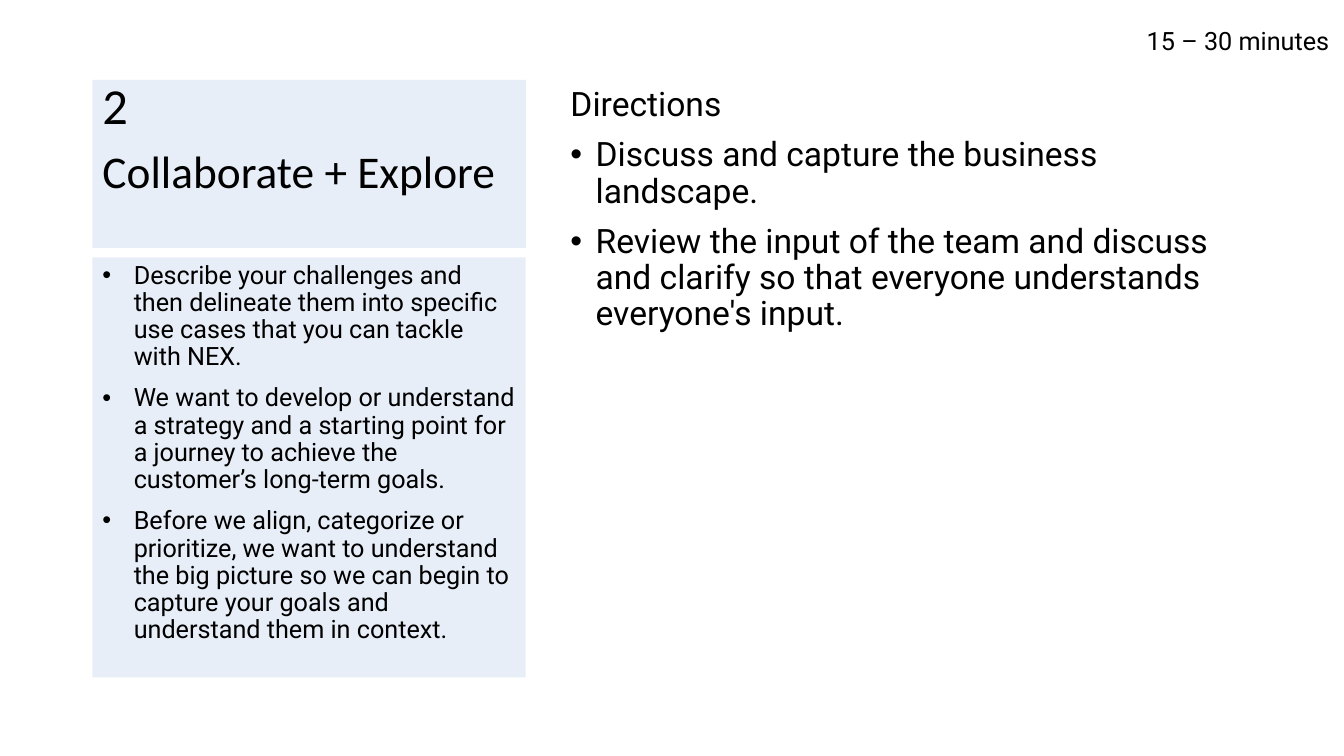
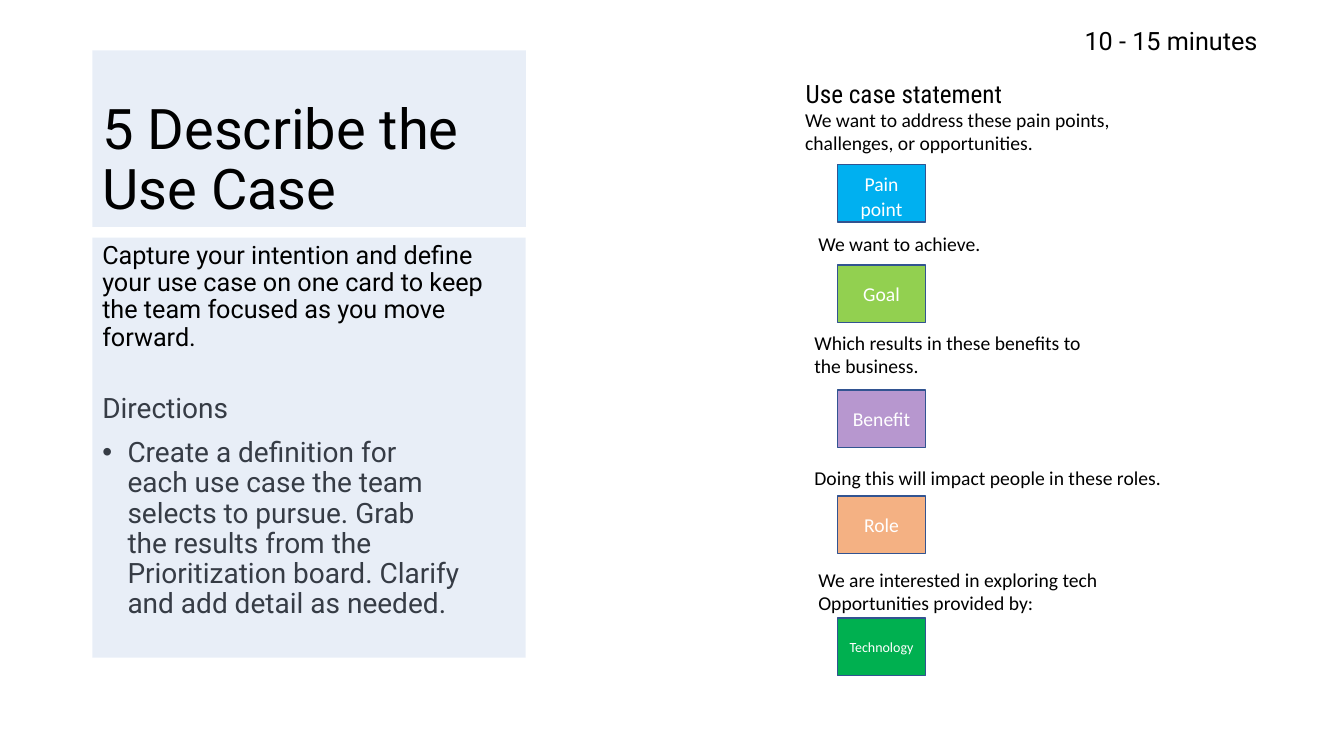
"""Build two workshop slides: exploring together and describing a use case."""
import pptx
import pptx.util
import pptx.dml.color
import pptx.enum.shapes
import pptx.enum.text
import pptx.oxml.ns

Pt = pptx.util.Pt
ALIGN = pptx.enum.text.PP_ALIGN
ANCHOR = pptx.enum.text.MSO_ANCHOR

COLORS = {
    "text": "000000",
    "panel": "B4C7E7",
    "tile_line": "325491",
    "tile_text": "FFFFFF",
    "pain": "00B0F0",
    "goal": "92D050",
    "benefit": "7030A0",
    "role": "F4B183",
    "technology": "00B050",
}
PANEL_LEFT, PANEL_WIDTH, PANEL_HEIGHT = 66, 309.6, 300
TILE_LEFT, TILE_WIDTH, TILE_HEIGHT = 598.4, 62.6, 41.2
BODY = {"line_spacing": 0.9, "space_before": Pt(10)}


def set_attributes(target, values):
    """Set every named value on the target."""
    for name, value in values.items():
        setattr(target, name, value)


def rgb(color):
    """Look up a colour by its name."""
    return pptx.dml.color.RGBColor.from_string(COLORS[color])


class Deck:
    """Holds the style and the current slide, and draws each kind of element."""

    def __init__(self):
        """Start a widescreen presentation."""
        self.presentation = pptx.Presentation()
        set_attributes(self.presentation, {"slide_width": Pt(960), "slide_height": Pt(540)})
        self.slide = None

    def add_slide(self):
        """Start a title-only slide."""
        self.slide = self.presentation.slides.add_slide(self.presentation.slide_layouts[5])

    def fill(self, shape, color, opacity=None):
        """Give the shape a solid fill, see-through if an opacity percent is given."""
        shape.fill.solid()
        shape.fill.fore_color.rgb = rgb(color)
        if opacity is not None:
            color_node = shape._element.spPr.find(".//" + pptx.oxml.ns.qn("a:srgbClr"))
            color_node.append(color_node.makeelement(
                pptx.oxml.ns.qn("a:alpha"), {"val": str(opacity * 1000)}))

    def bullet(self, paragraph, indent):
        """Hang a round bullet in the given indent."""
        properties = paragraph._p.get_or_add_pPr()
        properties.set("marL", str(int(Pt(indent))))
        properties.set("indent", str(-int(Pt(indent))))
        for tag, attribute, value in (("a:buFont", "typeface", "Arial"), ("a:buChar", "char", "•")):
            properties.append(properties.makeelement(pptx.oxml.ns.qn(tag), {attribute: value}))

    def set_text(self, shape, paragraphs, size, font="Roboto", color="text", indents=None,
                 frame=None, **values):
        """Set paragraphs, each a string or a list of (text, size) runs."""
        text_frame = shape.text_frame
        set_attributes(text_frame, {"word_wrap": True, **(frame or {})})
        for index, content in enumerate(paragraphs):
            paragraph = text_frame.add_paragraph() if index else text_frame.paragraphs[0]
            set_attributes(paragraph, {"alignment": ALIGN.LEFT, **values})
            if indents and indents[index]:
                self.bullet(paragraph, indents[index])
            runs = [(content, size)] if isinstance(content, str) else content
            for text, run_size in runs:
                run = paragraph.add_run()
                run.text = text
                set_attributes(run.font, {"name": font, "size": Pt(run_size)})
                run.font.color.rgb = rgb(color)

    def title(self, top, height, paragraphs, size, **style):
        """Place the title on its pale panel."""
        shape = self.slide.shapes.title
        set_attributes(shape, {"left": Pt(PANEL_LEFT), "top": Pt(top),
                               "width": Pt(PANEL_WIDTH), "height": Pt(height)})
        self.fill(shape, "panel", 30)
        self.set_text(shape, paragraphs, size, line_spacing=0.9, **style)

    def rectangle(self, left, top, width, height, color, opacity=None):
        """Draw a filled rectangle without outline or shadow."""
        shape = self.slide.shapes.add_shape(
            pptx.enum.shapes.MSO_SHAPE.RECTANGLE, Pt(left), Pt(top), Pt(width), Pt(height))
        shape.shadow.inherit = False
        self.fill(shape, color, opacity)
        shape.line.fill.background()
        return shape

    def panel(self, top, paragraphs, indents=None):
        """Draw the pale panel with its notes."""
        shape = self.rectangle(PANEL_LEFT, top, PANEL_WIDTH, PANEL_HEIGHT, "panel", 30)
        self.set_text(shape, paragraphs, 18, indents=indents,
                      frame={"vertical_anchor": ANCHOR.TOP}, **BODY)

    def text(self, left, top, width, height, paragraphs, size, **style):
        """Add a text box."""
        shape = self.slide.shapes.add_textbox(Pt(left), Pt(top), Pt(width), Pt(height))
        self.set_text(shape, paragraphs, size, **style)

    def duration(self, left, words):
        """Show the time needed at the top right."""
        self.text(left, 14.4, 147.6, 29, [words], 18, frame={"word_wrap": False})

    def tile(self, top, label, size, color, opacity=None):
        """Draw an outlined card with a centred label."""
        shape = self.rectangle(TILE_LEFT, top, TILE_WIDTH, TILE_HEIGHT, color, opacity)
        shape.line.color.rgb = rgb("tile_line")
        shape.line.width = Pt(1)
        self.set_text(shape, [label], size, "Calibri", "tile_text",
                      frame={"vertical_anchor": ANCHOR.MIDDLE}, alignment=ALIGN.CENTER)


def explore_slide(deck):
    """Build the slide on collaborating and exploring."""
    deck.add_slide()
    deck.title(57, 120, [[("2", 36)], "Collaborate + Explore"], 32.4, font="Calibri",
               frame={"vertical_anchor": ANCHOR.TOP, "margin_top": Pt(0.6)},
               space_before=Pt(10))
    deck.text(400.4, 59, 486, 125, [
        "Directions",
        "Discuss and capture the business landscape.",
        "Review the input of the team and discuss and clarify so that everyone understands "
        "everyone's input.",
    ], 24, indents=[0, 18, 18], **BODY)
    deck.panel(183.8, [
        "Describe your challenges and then delineate them into specific use cases that you can "
        "tackle with NEX.",
        "We want to develop or understand a strategy and a starting point for a journey to "
        "achieve the customer’s long-term goals.",
        "Before we align, categorize or prioritize, we want to understand the big picture so we "
        "can begin to capture your goals and understand them in context.",
    ], [22.5] * 3)
    deck.duration(812, "15 – 30 minutes")


def use_case_slide(deck):
    """Build the slide on describing the use case."""
    deck.add_slide()
    deck.title(36, 126, ["5 Describe the Use Case"], 40,
               frame={"vertical_anchor": ANCHOR.BOTTOM})
    deck.text(PANEL_LEFT, 278, 270, 180, [
        "Directions",
        "Create a definition for each use case the team selects to pursue. Grab the results from "
        "the Prioritization board. Clarify and add detail as needed.",
    ], 20, indents=[0, 18], **BODY)
    deck.panel(169.8, [
        "Capture your intention and define your use case on one card to keep the team focused "
        "as you move forward.",
    ])
    deck.duration(767.6, "10 - 15 minutes")
    deck.text(568.4, 52.6, 164, 29, ["Use case statement"], 18, font="Roboto Condensed",
              frame={"word_wrap": False})
    statements = [
        (568, 73.4, 235, ["We want to address these pain points, challenges, or opportunities."],
         117.4, [("Pain", 14), (" ", 18), ("point", 14)], 14, "pain", None),
        (577.4, 162, 132, ["We want to achieve."], 189.4, "Goal", 14, "goal", None),
        (574.6, 232.6, 210, ["Which results in these benefits to", "the business."],
         278.6, "Benefit", 14, "benefit", 50),
        (574.6, 329, 265, ["Doing this will impact people in these roles."],
         354.2, "Role", 14, "role", None),
        (577.4, 401.8, 220, ["We are interested in exploring tech", "Opportunities provided by:"],
         441.4, "Technology", 10, "technology", None),
    ]
    for left, top, width, lines, tile_top, label, size, color, opacity in statements:
        deck.text(left, top, width, 7.2 + 17 * len(lines), lines, 14, font="Calibri")
        deck.tile(tile_top, label, size, color, opacity)


def main():
    """Build and save the presentation."""
    deck = Deck()
    explore_slide(deck)
    use_case_slide(deck)
    deck.presentation.save("out.pptx")


if __name__ == "__main__":
    main()
